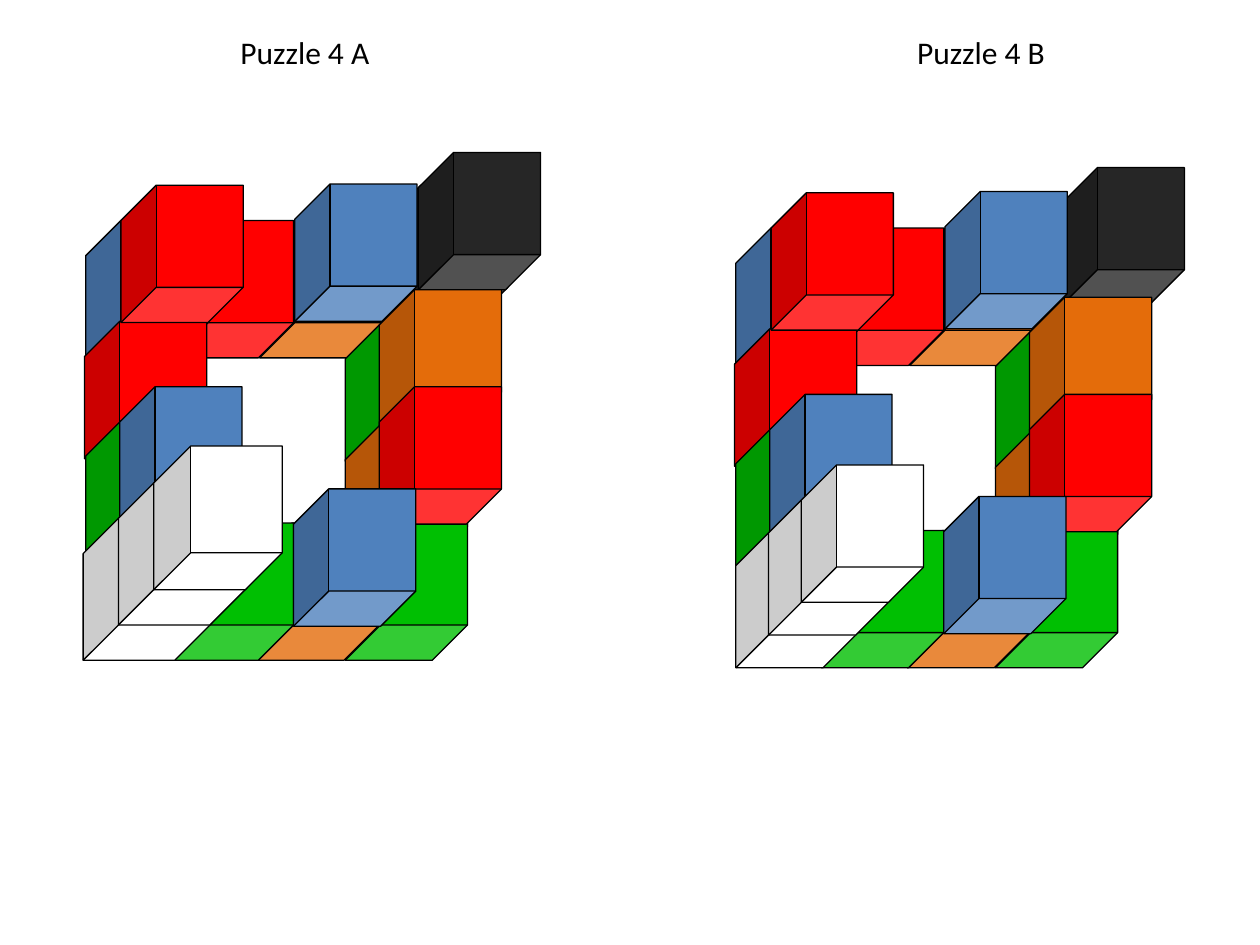
from pptx import Presentation
from pptx.dml.color import RGBColor
from pptx.enum.shapes import MSO_SHAPE as Shape
from pptx.enum.text import MSO_AUTO_SIZE as AutoSize
from pptx.util import Inches, Pt

COLORS = {
    "black": "262626", "orange": "E46C0A", "red": "FF0000", "blue": "4F81BD",
    "green": "00BF02", "white": "FFFFFF", "ink": "000000",
}
CUBE = (0.97, 1.09)
LARGE_CUBE = (1.02, 1.14)
CUBE_DEPTH = 0.288
ROD_LENGTH = 3

# Single cubes of the ring, from back to front: left, top, colour
RING = [
    (2.06, 1.75, "orange"), (1.36, 1.75, "red"), (0.68, 1.75, "blue"),
    (0.67, 2.55, "red"), (2.34, 1.46, "blue"), (0.96, 1.47, "red"),
    (2.74, 2.57, "green"), (2.74, 3.37, "orange"), (2.74, 4.15, "green"),
    (2.04, 4.15, "orange"), (1.36, 4.15, "green"), (3.01, 2.30, "orange"),
    (3.01, 3.07, "red"), (2.33, 3.88, "blue"), (0.68, 3.34, "green"),
    (0.95, 3.07, "blue"),
]


def color(name):
    """Return the named colour."""
    return RGBColor.from_string(COLORS[name])


def write(box, text, size=18, font="Calibri", ink="ink"):
    """Put one formatted line of text into a box."""
    span = box.text_frame.paragraphs[0].add_run()
    span.text = text
    span.font.size = Pt(size)
    span.font.name = font
    span.font.color.rgb = color(ink)


class PuzzlePage:
    """Draws puzzle pieces on the current slide."""

    def __init__(self, page):
        """Keep the slide to draw on."""
        self.page = page

    def title(self, left, text):
        """Add a puzzle title."""
        box = self.page.shapes.add_textbox(
            Inches(left), Inches(0.21), Inches(1.24), Inches(0.4))
        box.text_frame.word_wrap = False
        box.text_frame.auto_size = AutoSize.SHAPE_TO_FIT_TEXT
        write(box, text)

    def cube(self, left, top, fill, size=CUBE, parent=None):
        """Add a cube seen from below, on the slide or in a group."""
        shapes = (parent or self.page).shapes
        cube = shapes.add_shape(
            Shape.CUBE, Inches(left), Inches(top), *map(Inches, size))
        cube.rotation = 180
        cube.adjustments[0] = CUBE_DEPTH
        cube.shadow.inherit = False
        cube.fill.solid()
        cube.fill.fore_color.rgb = color(fill)
        cube.line.color.rgb = color("ink")
        cube.line.width = Pt(0.75)

    def rod(self, left, top, fill, size=CUBE, step=0.26):
        """Add a group of cubes that come forward up and to the right."""
        group = self.page.shapes.add_group_shape()
        for index in range(ROD_LENGTH):
            self.cube(left + index * step, top - index * step, fill, size, group)

    def ring(self, shift_x, shift_y):
        """Add the single cubes, moved by the given distance."""
        for left, top, fill in RING:
            self.cube(left + shift_x, top + shift_y, fill)


deck = Presentation()
deck.slide_width, deck.slide_height = Inches(10), Inches(7.5)
puzzles = PuzzlePage(deck.slides.add_slide(deck.slide_layouts[6]))

puzzles.rod(2.80, 1.73, "black")
puzzles.ring(0, 0)
puzzles.rod(0.66, 4.10, "white", size=LARGE_CUBE, step=0.28)
puzzles.title(1.81, "Puzzle 4 A")

puzzles.title(7.18, "Puzzle 4 B")
puzzles.rod(7.91, 1.85, "black")
puzzles.ring(5.16, 0.06)
puzzles.rod(5.84, 4.21, "white")

deck.save("out.pptx")
